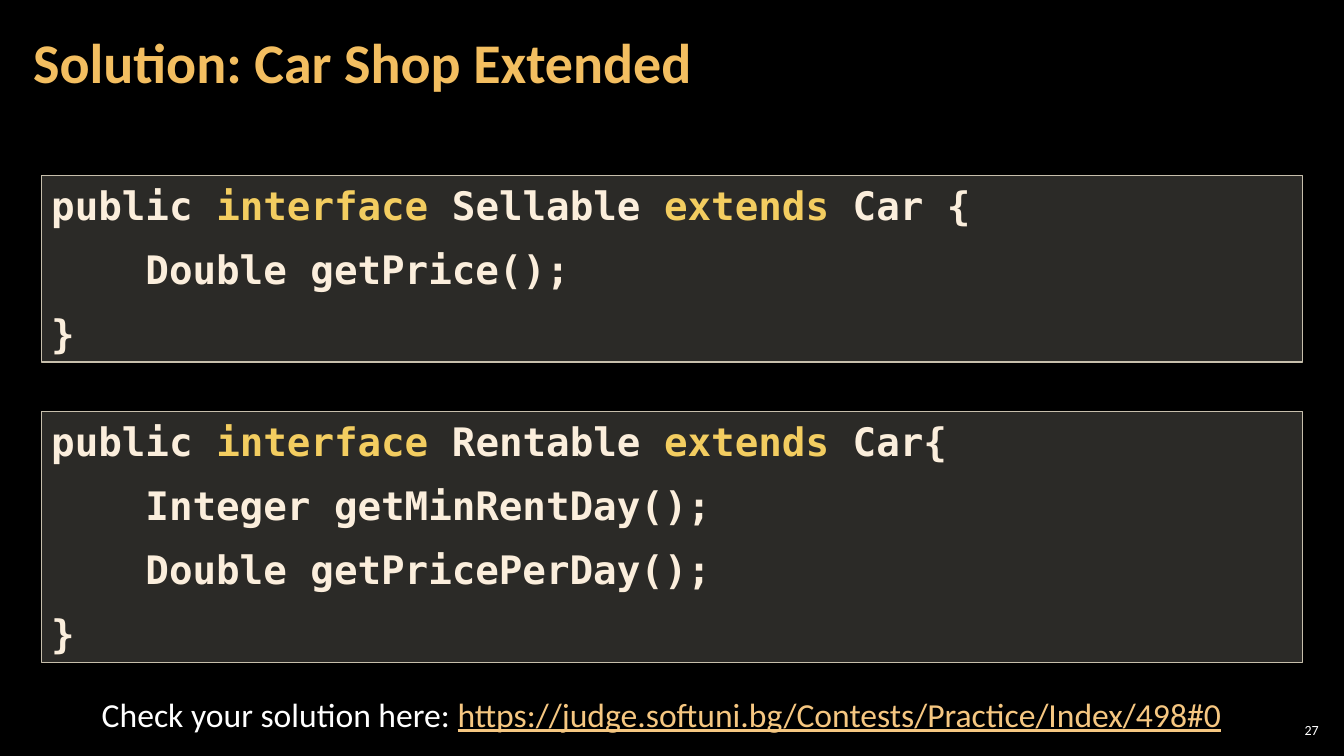
from lxml import etree
from pptx import Presentation
from pptx import util as u
from pptx.dml.color import RGBColor
from pptx.enum import shapes, text
from pptx.oxml.ns import qn

W, H = 13.33, 7.5
COLORS = {
    "back": "000000", "title": "F3BE60", "plain": "FFFFFF", "link": "F6C781",
    "code": "FBEEDC", "keyword": "F3CD60", "panel": "D9D5C7", "edge": "C7BFAC",
}
KEYWORDS = ("interface", "extends")
CODE = {"name": "DejaVu Sans Mono", "size": u.Pt(28), "bold": True}
SELLABLE = """public interface Sellable extends Car {
    Double getPrice();
}"""
RENTABLE = """public interface Rentable extends Car{
    Integer getMinRentDay();
    Double getPricePerDay();
}"""


def rgb(name):
    return RGBColor.from_string(COLORS[name])


def add_run(p, words, color, formats):
    r = p.add_run()
    r.text = words
    for key, value in formats.items():
        setattr(r.font, key, value)
    r.font.color.rgb = rgb(color)


def set_frame(tf, side=0.1, edge=0.05):
    frame = {
        "word_wrap": True, "vertical_anchor": text.MSO_ANCHOR.MIDDLE,
        "margin_left": u.Inches(side), "margin_right": u.Inches(side),
        "margin_top": u.Inches(edge), "margin_bottom": u.Inches(edge),
    }
    for key, value in frame.items():
        setattr(tf, key, value)


def add_line(s, box, runs, formats, align=text.PP_ALIGN.LEFT, side=0.1, edge=0.05):
    """One line of text; runs are (words, color, extra formats)."""
    tf = s.shapes.add_textbox(*map(u.Inches, box)).text_frame
    set_frame(tf, side, edge)
    p = tf.paragraphs[0]
    p.alignment = align
    for words, color, extra in runs:
        add_run(p, words, color, {"name": "Calibri", **formats, **extra})
    return p


def split_keywords(line):
    """Cut a code line into (words, color) pieces around the keywords."""
    pieces = [(line, "code")]
    for keyword in KEYWORDS:
        words, color = pieces.pop()
        before, found, after = words.partition(keyword)
        pieces.append((before, color))
        if found:
            pieces += [(found, "keyword"), (after, color)]
    return pieces


def add_code(s, box, code):
    sp = s.shapes.add_shape(shapes.MSO_SHAPE.RECTANGLE, *map(u.Inches, box))
    sp.shadow.inherit = False
    sp.fill.solid()
    sp.fill.fore_color.rgb = rgb("panel")
    fill_color = sp.fill._xPr.find(qn("a:solidFill"))[0]
    etree.SubElement(fill_color, qn("a:alpha")).set("val", "20000")
    sp.line.color.rgb = rgb("edge")
    sp.line.width = u.Pt(1)
    tf = sp.text_frame
    set_frame(tf)
    for i, line in enumerate(code.splitlines()):
        p = tf.add_paragraph() if i else tf.paragraphs[0]
        p.alignment = text.PP_ALIGN.LEFT
        if i:
            p.space_before = u.Pt(12)
        for words, color in split_keywords(line):
            add_run(p, words, color, CODE)


def add_solution(prs):
    s = prs.slides.add_slide(prs.slide_layouts[6])
    s.background.fill.solid()
    s.background.fill.fore_color.rgb = rgb("back")

    # Title
    p = add_line(s, (0.21, 0.04, 10.47, 1.21),
                 [("Solution: Car Shop Extended", "title", {})],
                 {"size": u.Pt(40), "bold": True}, side=0.12, edge=0.04)
    p.line_spacing = 0.9

    # Code panels, centred across the slide
    left = 0.41
    for top, height, code in ((1.74, 1.85, SELLABLE), (4.08, 2.49, RENTABLE)):
        add_code(s, (left, top, W - 2 * left, height), code)

    # Link to the judge
    add_line(s, (0, 6.83, 13.12, 0.5),
             [("Check your solution here: ", "plain", {}),
              ("https://judge.softuni.bg/Contests/Practice/Index/498#0", "link",
               {"underline": True})],
             {"size": u.Pt(24)}, text.PP_ALIGN.CENTER)

    # Slide number
    add_line(s, (12.65, 7.14, 0.47, 0.21), [("27", "plain", {})],
             {"size": u.Pt(10)}, text.PP_ALIGN.RIGHT, side=0.04, edge=0.04)


def main():
    prs = Presentation()
    prs.slide_width, prs.slide_height = u.Inches(W), u.Inches(H)
    add_solution(prs)
    prs.save("out.pptx")


if __name__ == "__main__":
    main()
